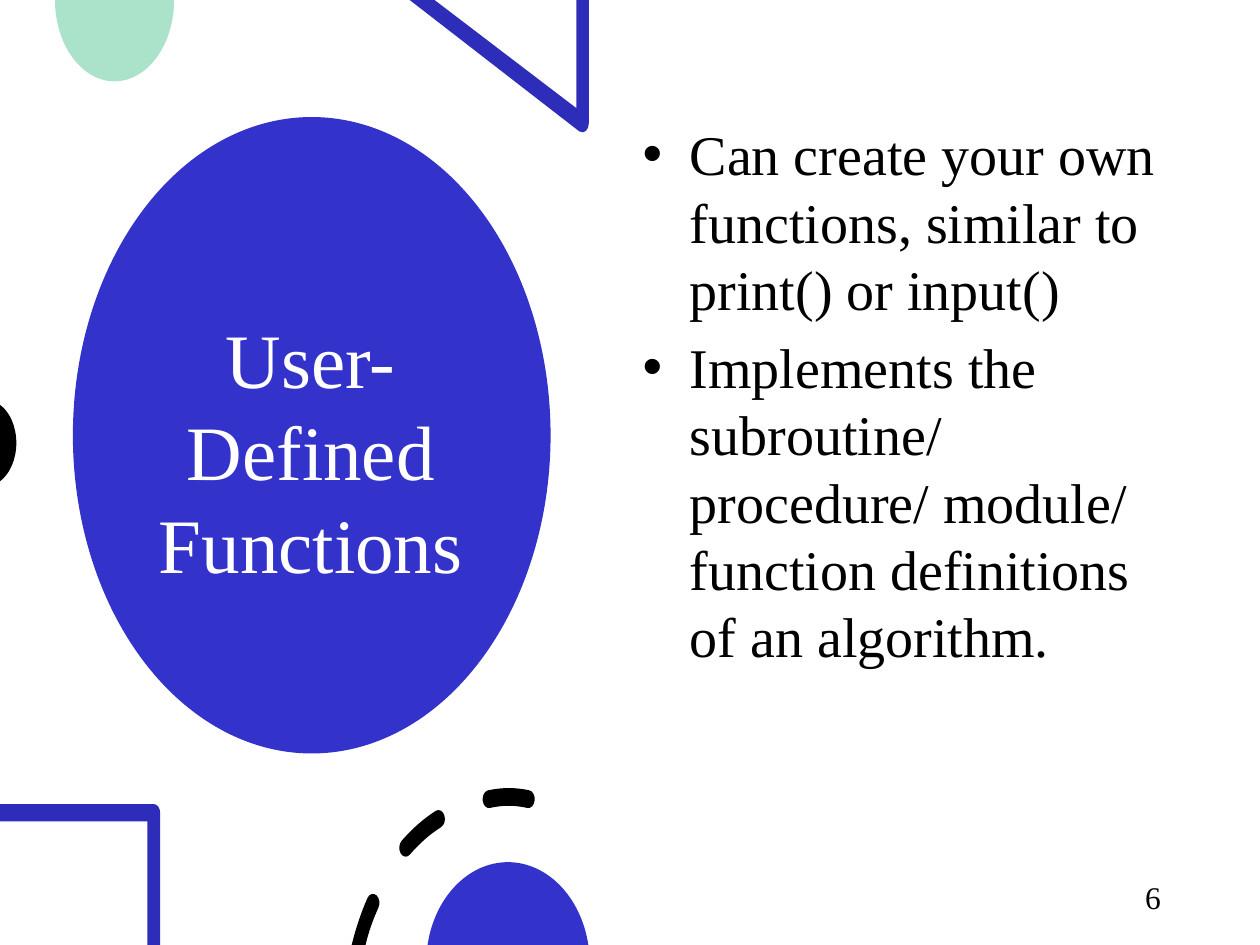
import math
from dataclasses import dataclass

from lxml import etree
from pptx import Presentation
from pptx.dml.color import RGBColor
from pptx.enum import shapes, text
from pptx.oxml.ns import qn
from pptx.util import Cm, Pt

Point = tuple[float, float]
Segment = tuple[Point, ...]  # one point is a line, three points a cubic curve


@dataclass(frozen=True)
class Theme:
    font: str = "Times New Roman"
    blue: str = "3333CC"
    outline_blue: str = "2D2DB9"
    mint: str = "AAE2CA"
    ink: str = "000000"
    paper: str = "FFFFFF"
    title_size: int = 44
    body_size: int = 32
    number_size: int = 18


@dataclass(frozen=True)
class Outline:
    start: Point
    segments: list[Segment]


@dataclass(frozen=True)
class Decoration:
    color: str
    outlines: list[Outline]


@dataclass(frozen=True)
class Dash:
    start: Point
    bend: Point
    end: Point
    round_end: bool = True


THEME = Theme()
SLIDE_W, SLIDE_H = 25.4, 19.05
PEN = (0.13, 0.18)  # horizontal and vertical half widths of the strokes


def arc(center: Point, radii: Point, start: float, end: float, pieces: int = 2) -> list[Segment]:
    """Curves along an ellipse; angles in degrees, clockwise from the right."""
    step = math.radians(end - start) / pieces
    handle = 4 / 3 * math.tan(step / 4)

    def at(angle: float, pull: float = 0) -> Point:
        return (center[0] + radii[0] * (math.cos(angle) - pull * math.sin(angle)),
                center[1] + radii[1] * (math.sin(angle) + pull * math.cos(angle)))

    angles = [math.radians(start) + step * i for i in range(pieces)]
    return [(at(a, handle), at(a + step, -handle), at(a + step)) for a in angles]


def polygon(*points: Point) -> Outline:
    return Outline(points[0], [(point,) for point in points[1:]])


def dash_outline(dash: Dash) -> Outline:
    """Outline of a bent stroke with rounded ends, or a level cut at its end."""
    def heading(a: Point, b: Point) -> float:
        return math.atan2((b[1] - a[1]) / PEN[1], (b[0] - a[0]) / PEN[0])

    def beside(point: Point, angle: float, side: int) -> Point:
        return (point[0] - side * PEN[0] * math.sin(angle),
                point[1] + side * PEN[1] * math.cos(angle))

    def bow(a: Point, b: Point, c: Point) -> Segment:
        return (tuple((p + 2 * q) / 3 for p, q in zip(a, b)),
                tuple((r + 2 * q) / 3 for q, r in zip(b, c)), c)

    first, last = heading(dash.start, dash.bend), heading(dash.bend, dash.end)
    middle = heading(dash.start, dash.end)
    near, far = ([beside(dash.start, first, side), beside(dash.bend, middle, side),
                  beside(dash.end, last, side)] for side in (-1, 1))
    turn, back = math.degrees(last), math.degrees(first)
    if dash.round_end:
        end_cap = arc(dash.end, PEN, turn - 90, turn + 90)
    else:
        near[2], far[2] = ((dash.end[0] + side * 0.14, dash.end[1]) for side in (1, -1))
        end_cap = [(far[2],)]
    return Outline(near[0], [bow(*near), *end_cap, bow(*far[::-1]),
                             *arc(dash.start, PEN, back + 90, back + 270)])


def paint(shape, color: str) -> None:
    shape.shadow.inherit = False
    shape.fill.solid()
    shape.fill.fore_color.rgb = RGBColor.from_string(color)
    shape.line.fill.background()


def draw_decoration(slide, decoration: Decoration) -> None:
    """Build the outlines point by point, then join the points of each curve."""
    builder = None
    for outline in decoration.outlines:
        start = Cm(outline.start[0]), Cm(outline.start[1])
        if builder is None:
            builder = slide.shapes.build_freeform(*start)
        else:
            builder.move_to(*start)
        points = [(Cm(x), Cm(y)) for segment in outline.segments for x, y in segment]
        builder.add_line_segments(points, close=True)
    shape = builder.convert_to_shape()
    paint(shape, decoration.color)

    lines = iter(list(shape.element.iter(qn("a:lnTo"))))
    for outline in decoration.outlines:
        for segment in outline.segments:
            parts = [next(lines) for _ in segment]
            if len(parts) == 3:
                curve = etree.Element(qn("a:cubicBezTo"))
                parts[0].addprevious(curve)
                for part in parts:
                    curve.append(part[0])
                    part.getparent().remove(part)


def place(shape, left: float, top: float, width: float, height: float) -> None:
    shape.left, shape.top, shape.width, shape.height = map(Cm, (left, top, width, height))


def format_paragraph(paragraph, size: int, color: str, align: text.PP_ALIGN) -> None:
    paragraph.alignment = align
    paragraph.font.name = THEME.font
    paragraph.font.size = Pt(size)
    paragraph.font.color.rgb = RGBColor.from_string(color)


def fill_placeholder(placeholder, wording: str, anchor: text.MSO_ANCHOR):
    frame = placeholder.text_frame
    frame.text = wording
    frame.word_wrap = True
    frame.auto_size = text.MSO_AUTO_SIZE.NONE
    frame.vertical_anchor = anchor
    return frame.paragraphs


def add_title(slide, wording: str) -> None:
    title = slide.shapes.title
    place(title, 2.89, 3.42, 6.75, 11.3)
    heading, = fill_placeholder(title, wording, text.MSO_ANCHOR.MIDDLE)
    format_paragraph(heading, THEME.title_size, THEME.paper, text.PP_ALIGN.CENTER)

    backdrop = slide.shapes.add_shape(
        shapes.MSO_SHAPE.OVAL, Cm(1.47), Cm(2.36), Cm(9.63), Cm(12.83))
    paint(backdrop, THEME.blue)
    title.element.addprevious(backdrop.element)


def add_bullets(slide, points: list[str]) -> None:
    body = slide.placeholders[1]
    place(body, 12.7, 2.29, 10.95, 13.59)
    paragraphs = fill_placeholder(body, "\n".join(points), text.MSO_ANCHOR.TOP)
    for index, paragraph in enumerate(paragraphs):
        properties = paragraph._p.get_or_add_pPr()
        properties.set("marL", str(Cm(0.95)))
        properties.set("indent", str(Cm(-0.95)))
        etree.SubElement(properties, qn("a:buChar"), char="•")
        paragraph.space_before = Pt(6.4 if index else 0)
        format_paragraph(paragraph, THEME.body_size, THEME.ink, text.PP_ALIGN.LEFT)


def add_page_number(slide, number: str) -> None:
    box = slide.shapes.add_textbox(Cm(21.87), Cm(17.66), Cm(1.78), Cm(1.02))
    box.text_frame.word_wrap = True
    box.text_frame.text = number
    paragraph = box.text_frame.paragraphs[0]
    paragraph.line_spacing = 0.9
    format_paragraph(paragraph, THEME.number_size, THEME.ink, text.PP_ALIGN.RIGHT)


def main() -> None:
    dashes = [
        Dash((7.52, 18.2), (7.34, 18.6), (7.23, SLIDE_H), round_end=False),
        Dash((8.18, 17.09), (8.48, 16.74), (8.84, 16.51)),
        Dash((9.86, 16.11), (10.26, 16.02), (10.65, 16.11)),
    ]
    triangle = polygon((11.87, 0), (11.62, 0), (11.62, 2.18), (8.76, 0), (8.26, 0), (11.68, 2.65))
    triangle.segments.extend(arc((11.74, 2.49), PEN, 110, 0))
    square_corner = polygon((0, 16.21), (0, 16.56), (2.97, 16.56), (2.97, SLIDE_H),
                            (3.23, SLIDE_H), (3.23, 16.39))
    square_corner.segments.extend(arc((3.1, 16.39), PEN, 0, -90, 1))
    mint_drop = Outline((3.51, 0), arc((2.31, 0), (1.2, 1.64), 0, 180))
    ink_spot = Outline((0, 8.16), arc((-0.28, 8.93), (0.61, 0.87), -62.7, 62.7))
    blue_dome = Outline((8.62, SLIDE_H), arc((10.24, 19.43), (1.65, 2.05), 190.6, 349.4))
    decorations = [
        Decoration(THEME.mint, [mint_drop]),
        Decoration(THEME.outline_blue, [triangle]),
        Decoration(THEME.ink, [ink_spot]),
        Decoration(THEME.outline_blue, [square_corner]),
        Decoration(THEME.ink, [dash_outline(dash) for dash in dashes]),
        Decoration(THEME.blue, [blue_dome]),
    ]

    deck = Presentation()
    deck.slide_width, deck.slide_height = Cm(SLIDE_W), Cm(SLIDE_H)
    slide = deck.slides.add_slide(deck.slide_layouts[1])
    add_title(slide, "User-Defined Functions")
    add_bullets(slide, [
        "Can create your own functions, similar to print() or input()",
        "Implements the subroutine/ procedure/ module/ function definitions of an algorithm.",
    ])
    for decoration in decorations:
        draw_decoration(slide, decoration)
    add_page_number(slide, "6")
    deck.save("out.pptx")


if __name__ == "__main__":
    main()
